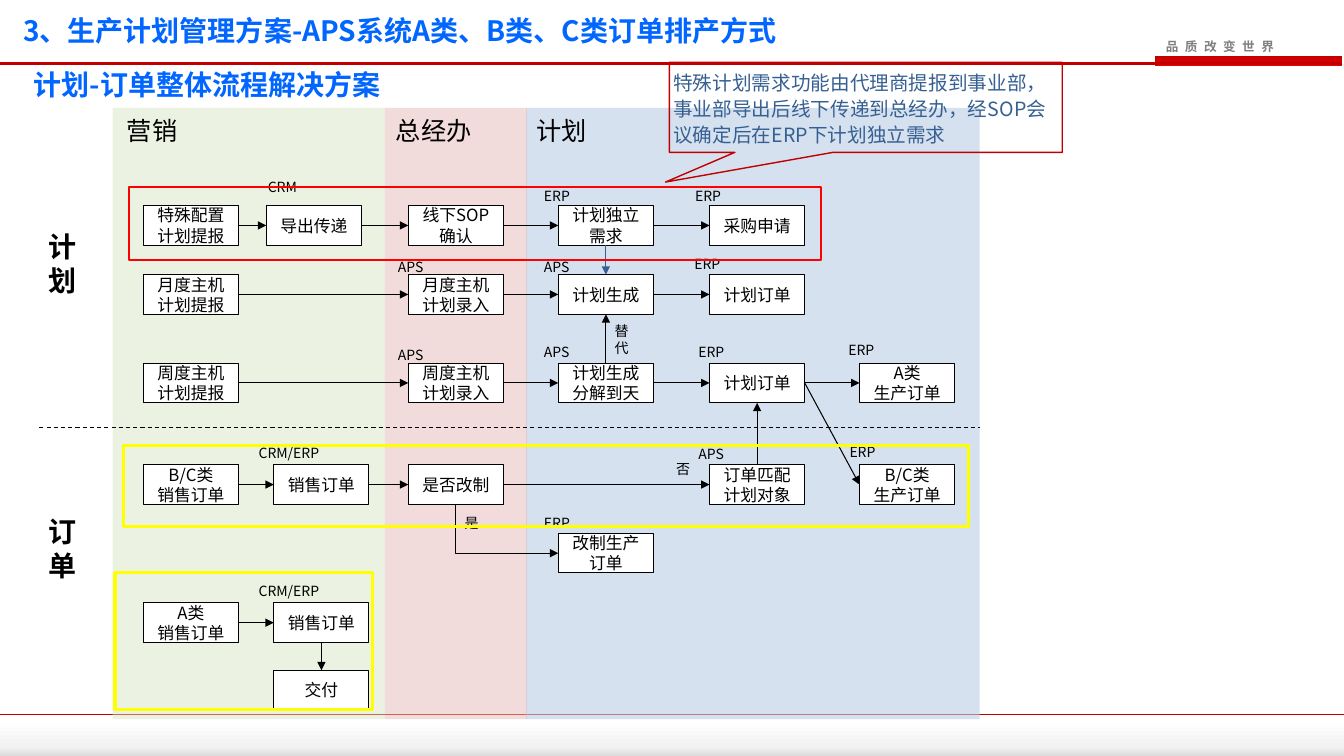
from copy import deepcopy

from lxml import etree
from pptx import Presentation
from pptx.dml.color import RGBColor
from pptx.enum.dml import MSO_LINE_DASH_STYLE as Dash
from pptx.enum.shapes import MSO_CONNECTOR as Link, MSO_SHAPE as Preset
from pptx.enum.text import MSO_ANCHOR as Anchor, MSO_AUTO_SIZE as AutoSize, PP_ALIGN as Align
from pptx.oxml.ns import qn
from pptx.util import Cm, Pt

# Content; all lengths are centimetres
FONT = "Noto Sans CJK SC"
TITLE = "3、生产计划管理方案-APS系统A类、B类、C类订单排产方式"
SUBTITLE = "计划-订单整体流程解决方案"
SLOGAN = "品 质 改 变 世 界"
NOTE = "特殊计划需求功能由代理商提报到事业部，事业部导出后线下传递到总经办，经SOP会议确定后在ERP下计划独立需求"

BAND_TOP, BAND_HEIGHT = 2.72, 15.4
BANDS = [  # left, width, colour, opacity %
    (13.26, 11.43, "B9CDE5", 60),
    (9.7, 3.58, "E6B9B8", 50),
    (2.84, 6.86, "D7E4BD", 45),
]
HEADINGS = [("营销", 2.95), ("总经办", 9.73), ("计划", 13.26)]
STAGES = [("计划", 5.66), ("订单", 12.85)]

BOX_WIDTH, BOX_HEIGHT = 2.4, 1.0
COLUMNS = {"submit": 3.61, "export": 6.71, "sales": 6.9, "office": 10.29,
           "plan": 14.07, "order": 17.88, "make": 21.66}
ROWS = {"special": 5.18, "month": 6.92, "week": 9.15, "bc": 11.71,
        "rework": 13.44, "a": 15.19, "deliver": 16.89}
BOXES = {
    ("submit", "special"): "特殊配置计划提报",
    ("export", "special"): "导出传递",
    ("office", "special"): "线下SOP确认",
    ("plan", "special"): "计划独立需求",
    ("order", "special"): "采购申请",
    ("submit", "month"): "月度主机计划提报",
    ("office", "month"): "月度主机计划录入",
    ("plan", "month"): "计划生成",
    ("order", "month"): "计划订单",
    ("submit", "week"): "周度主机计划提报",
    ("office", "week"): "周度主机计划录入",
    ("plan", "week"): "计划生成分解到天",
    ("order", "week"): "计划订单",
    ("make", "week"): "A类\n生产订单",
    ("submit", "bc"): "B/C类\n销售订单",
    ("sales", "bc"): "销售订单",
    ("office", "bc"): "是否改制",
    ("order", "bc"): "订单匹配计划对象",
    ("make", "bc"): "B/C类\n生产订单",
    ("plan", "rework"): "改制生产订单",
    ("submit", "a"): "A类\n销售订单",
    ("sales", "a"): "销售订单",
    ("sales", "deliver"): "交付",
}
TOP, LEFT, BOTTOM, RIGHT = range(4)  # connection sites of a rectangle
CROSS_ARROWS = [  # from box, site, to box, site, colour
    (("plan", "week"), TOP, ("plan", "month"), BOTTOM, "000000"),
    (("order", "bc"), TOP, ("order", "week"), BOTTOM, "000000"),
    (("order", "week"), RIGHT, ("make", "bc"), LEFT, "000000"),
    (("sales", "a"), BOTTOM, ("sales", "deliver"), TOP, "000000"),
    (("plan", "special"), BOTTOM, ("plan", "month"), TOP, "376092"),
]
LABELS = [  # text, width, height, places
    ("ERP", 1.52, 0.69, [(13.46, 4.6), (17.27, 4.6), (17.25, 6.32), (17.35, 8.53),
                         (21.13, 8.48), (21.16, 11.05), (13.46, 12.85)]),
    ("APS", 1.3, 0.69, [(9.78, 6.38), (13.46, 6.38), (9.78, 8.61), (13.46, 8.53), (17.35, 11.1)]),
    ("CRM", 1.42, 0.69, [(6.5, 4.37)]),
    ("CRM/ERP", 2.31, 0.69, [(6.27, 11.07), (6.27, 14.55)]),
    ("替代", 0.94, 1.12, [(15.24, 8.0)]),
    ("是", 0.76, 0.69, [(11.46, 12.83)]),
    ("否", 0.76, 0.69, [(16.79, 11.48)]),
]
RED_FRAME = (3.25, 4.72, 17.45, 1.83)
YELLOW_FRAMES = [(2.9, 14.43, 6.48, 3.45), (3.12, 11.23, 21.28, 2.03)]

presentation = Presentation()
presentation.slide_width, presentation.slide_height = Cm(33.87), Cm(19.05)
slide = presentation.slides.add_slide(presentation.slide_layouts[5])


def rgb(value):
    return RGBColor.from_string(value)


def write(shape, text, size=12, color="000000", bold=False, align=Align.LEFT,
          anchor=Anchor.TOP, spacing=None, wrap=True, grow=False, tracking=None):
    frame = shape.text_frame
    frame.text = text
    frame.word_wrap = wrap
    frame.auto_size = AutoSize.SHAPE_TO_FIT_TEXT if grow else AutoSize.NONE
    frame.vertical_anchor = anchor
    for paragraph in frame.paragraphs:
        paragraph.alignment = align
        paragraph.space_before = Pt(0)
        if spacing:
            paragraph.line_spacing = spacing
        for run in paragraph.runs:
            run.font.size, run.font.bold, run.font.name = Pt(size), bold, FONT
            run.font.color.rgb = rgb(color)
            properties = run.font._element
            etree.SubElement(properties, qn("a:ea"), typeface=FONT)
            if tracking:
                properties.set("spc", str(tracking))


def add_text(text, left, top, width, height, **style):
    box = slide.shapes.add_textbox(Cm(left), Cm(top), Cm(width), Cm(height))
    write(box, text, **style)


def add_block(left, top, width, height, fill=None, opacity=None, line=None,
              weight=0.75, preset=Preset.RECTANGLE):
    shape = slide.shapes.add_shape(preset, Cm(left), Cm(top), Cm(width), Cm(height))
    shape.shadow.inherit = False
    if fill:
        shape.fill.solid()
        shape.fill.fore_color.rgb = rgb(fill)
    else:
        shape.fill.background()
    if opacity:
        color = shape._element.spPr.find(".//" + qn("a:srgbClr"))
        etree.SubElement(color, qn("a:alpha"), val=str(opacity * 1000))
    if line:
        shape.line.color.rgb, shape.line.width = rgb(line), Pt(weight)
    else:
        shape.line.fill.background()
    return shape


def shade_down(shape, stops):
    shape.fill.gradient()
    shape.fill.gradient_angle = 270
    stop_list = shape._element.spPr.find(".//" + qn("a:gsLst"))
    while len(stop_list) < len(stops):
        stop_list.append(deepcopy(stop_list[-1]))
    for stop, (position, color) in zip(shape.fill.gradient_stops, stops):
        stop.position, stop.color.rgb = position, rgb(color)


def add_line(x1=0, y1=0, x2=0, y2=0, color="000000", weight=0.75, kind=Link.STRAIGHT):
    line = slide.shapes.add_connector(kind, Cm(x1), Cm(y1), Cm(x2), Cm(y2))
    line.line.color.rgb, line.line.width = rgb(color), Pt(weight)
    etree.SubElement(line._element.spPr, qn("a:effectLst"))
    return line


def add_arrow(start, start_site, end, end_site, color="000000", kind=Link.STRAIGHT):
    arrow = add_line(color=color, kind=kind)
    arrow.begin_connect(boxes[start], start_site)
    arrow.end_connect(boxes[end], end_site)
    etree.SubElement(arrow.line._get_or_add_ln(), qn("a:tailEnd"), type="triangle")
    return arrow


# Page furniture
shade_down(add_block(0, 18.14, 33.87, 0.91), [(0, "FFFFFF"), (0.75, "F2F2F2"), (1, "DCDCDC")])
add_line(0, 18.01, 33.87, 18.01, "C00000", 1)
shade_down(add_block(29.11, 1.42, 4.72, 0.23), [(0, "C00000"), (1, "EE0000")])
add_text(SLOGAN, 29.13, 0.86, 3.45, 0.64, size=9, color="808080", bold=True,
         wrap=False, grow=True, tracking=130)
add_line(0, 1.6, 33.83, 1.6, "C00000", 1.5)

# Titles
title = slide.shapes.title
title.left, title.top, title.width, title.height = Cm(0.33), Cm(0.15), Cm(24.08), Cm(1.19)
write(title, TITLE, size=20, color="0066FF", bold=True, anchor=Anchor.MIDDLE, spacing=Pt(25))
add_text(SUBTITLE, 0.6, 1.68, 26.06, 1.24, size=20, color="0066FF", bold=True, spacing=0.9)

# Department bands, their headings and the two stages
for left, width, color, opacity in BANDS:
    add_block(left, BAND_TOP, width, BAND_HEIGHT, color, opacity)
for text, left in HEADINGS:
    add_text(text, left, 2.77, 2.74, 1.02, size=18, grow=True)
for text, top in STAGES:
    add_text(text, 0.97, top, 1.3, 1.96, size=20, bold=True, grow=True)
add_line(0.99, 10.77, 24.69, 10.77).line.dash_style = Dash.DASH

# Process boxes
boxes = {}
for (column, row), text in BOXES.items():
    box = add_block(COLUMNS[column], ROWS[row], BOX_WIDTH, BOX_HEIGHT, "FFFFFF", line="000000")
    write(box, text, align=Align.CENTER, anchor=Anchor.MIDDLE)
    boxes[column, row] = box

# Arrows along each row, then between rows
for row in ROWS:
    chain = [key for key in BOXES if key[1] == row]
    for start, end in zip(chain, chain[1:]):
        if (start, end) != (("order", "bc"), ("make", "bc")):
            add_arrow(start, RIGHT, end, LEFT)
for arrow_ends in CROSS_ARROWS:
    add_arrow(*arrow_ends)

# Elbow: down from the check, then right to the rework order
elbow = add_arrow(("office", "bc"), BOTTOM, ("plan", "rework"), LEFT, kind=Link.ELBOW)
across, down = elbow.width, elbow.height
elbow.left, elbow.top = elbow.left + (across - down) // 2, elbow.top + (down - across) // 2
elbow.width, elbow.height = down, across
elbow_form = elbow._element.spPr
elbow_form.find(qn("a:prstGeom")).set("prst", "bentConnector2")
elbow_form.find(qn("a:xfrm")).set("rot", "16200000")
elbow_form.find(qn("a:xfrm")).set("flipH", "1")

# System labels
for text, width, height, places in LABELS:
    for left, top in places:
        add_text(text, left, top, width, height, size=10, grow=True)

# Highlight frames and callout
add_block(*RED_FRAME, line="FF0000", weight=1.5)
callout = add_block(16.87, 1.57, 9.9, 2.27, line="C00000", weight=1,
                    preset=Preset.RECTANGULAR_CALLOUT)
callout.adjustments[0], callout.adjustments[1] = -0.51, 0.83
write(callout, NOTE, size=14, color="376092", anchor=Anchor.MIDDLE, spacing=1.1)
for side in ("left", "top", "right", "bottom"):
    setattr(callout.text_frame, "margin_" + side, Cm(0.1))
for frame_place in YELLOW_FRAMES:
    add_block(*frame_place, line="FFFF00", weight=2.25)

presentation.save("out.pptx")
